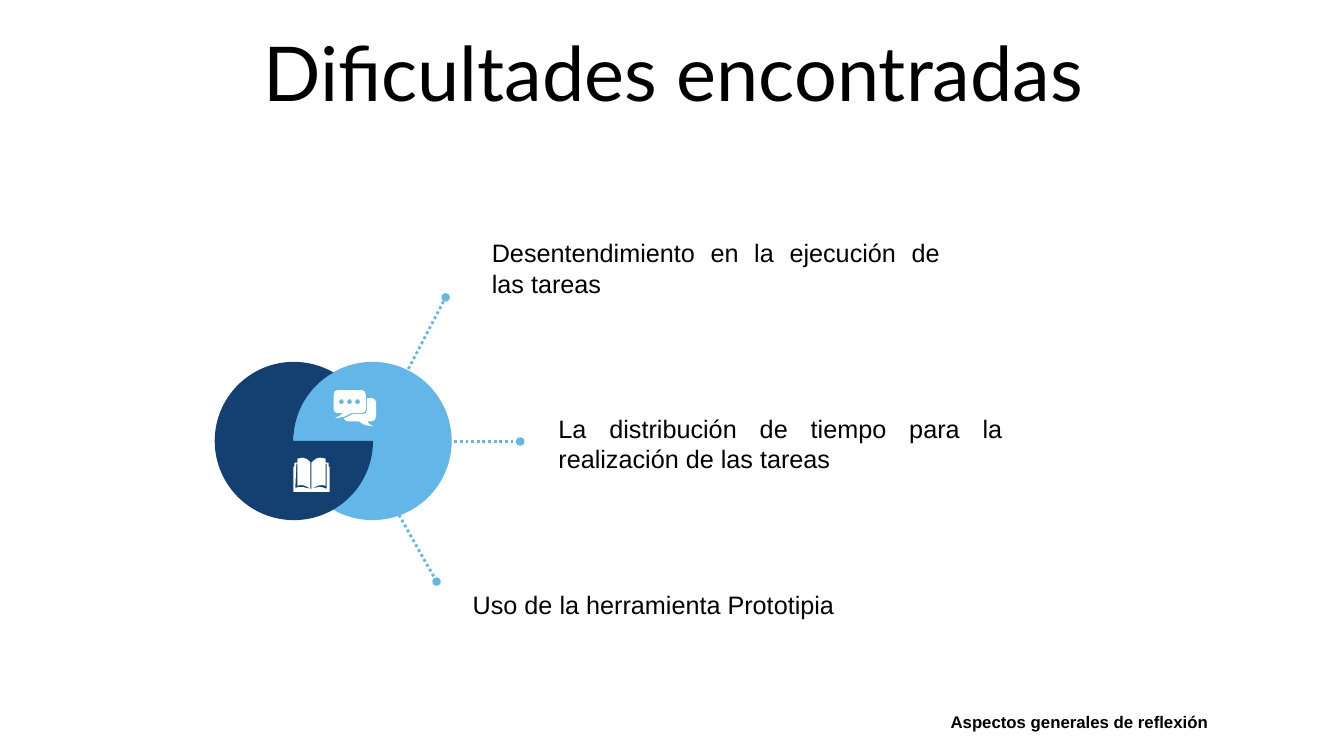
"""Build the slide on the difficulties encountered."""
import math

import lxml.etree
import pptx
import pptx.dml.color
import pptx.enum.dml
import pptx.enum.shapes
import pptx.enum.text
import pptx.oxml.ns
import pptx.util

Inches = pptx.util.Inches
qn = pptx.oxml.ns.qn
ALIGN = pptx.enum.text.PP_ALIGN
COLORS = {"navy": "134070", "sky": "62B7E8", "white": "FFFFFF", "black": "000000"}

presentation = pptx.Presentation()
presentation.slide_width = Inches(13.33)
presentation.slide_height = Inches(7.5)
slide = presentation.slides.add_slide(presentation.slide_layouts[6])


def add_text(text, left, top, width, height, size, font="Arial", align=ALIGN.JUSTIFY):
    """Add a one-paragraph text box and return its shape."""
    shape = slide.shapes.add_textbox(Inches(left), Inches(top), Inches(width), Inches(height))
    shape.text_frame.word_wrap = True
    paragraph = shape.text_frame.paragraphs[0]
    paragraph.text = text
    paragraph.alignment = align
    paragraph.font.size = pptx.util.Pt(size)
    paragraph.font.name = font
    paragraph.font.color.rgb = pptx.dml.color.RGBColor.from_string(COLORS["black"])
    return shape


def add_outline(contours, color):
    """Fill contours made of points (x, y) and cubic curves (x1, y1, x2, y2, x, y)."""
    builder = slide.shapes.build_freeform(*map(Inches, contours[0][0]))
    for contour in contours:
        if contour is not contours[0]:
            builder.move_to(*map(Inches, contour[0]))
        builder.add_line_segments([tuple(map(Inches, segment[-2:])) for segment in contour[1:]], close=True)
    shape = builder.convert_to_shape()
    segments = [segment for contour in contours for segment in contour[1:]]
    for line, segment in zip(list(shape._element.iter(qn("a:lnTo"))), segments):
        if len(segment) == 6:
            line.tag = qn("a:cubicBezTo")
            for index, (x, y) in enumerate([segment[:2], segment[2:4]]):
                control = lxml.etree.Element(qn("a:pt"))
                control.set("x", str(Inches(x) - shape.left))
                control.set("y", str(Inches(y) - shape.top))
                line.insert(index, control)
    shape.shadow.inherit = False
    shape.fill.solid()
    shape.fill.fore_color.rgb = pptx.dml.color.RGBColor.from_string(COLORS[color])
    shape.line.fill.background()


title = add_text("Dificultades encontradas", 0.35, 0.37, 12.66, 0.79, 54, "Lato", ALIGN.CENTER)
title.text_frame.vertical_anchor = pptx.enum.text.MSO_ANCHOR.MIDDLE
title.text_frame.paragraphs[0].line_spacing = 0.9

diameter, navy_left, sky_left, circles_top = 1.57, 2.13, 2.91, 3.59
sky_pie = slide.shapes.add_shape(
    pptx.enum.shapes.MSO_SHAPE.PIE,
    Inches(sky_left), Inches(circles_top), Inches(diameter), Inches(diameter))
sky_pie.adjustments[0] = 0
sky_pie.adjustments[1] = 180.48
sky_pie.rotation = 180
sky_pie.shadow.inherit = False
sky_pie.fill.solid()
sky_pie.fill.fore_color.rgb = pptx.dml.color.RGBColor.from_string(COLORS["sky"])
sky_pie.line.fill.background()

radius = diameter / 2
center_y = circles_top + radius
navy_outline = [(navy_left + diameter, center_y)]
for left, start, end in [
    (navy_left, 0, 90), (navy_left, 90, 180), (navy_left, 180, 270), (navy_left, 270, 300),
    (sky_left, 240, 180),
]:
    first, last = math.radians(start), math.radians(end)
    reach = 4 / 3 * math.tan((last - first) / 4)
    arc = [
        (math.cos(first) - reach * math.sin(first), math.sin(first) + reach * math.cos(first)),
        (math.cos(last) + reach * math.sin(last), math.sin(last) - reach * math.cos(last)),
        (math.cos(last), math.sin(last)),
    ]
    navy_outline.append(tuple(
        value for x, y in arc for value in (left + radius + radius * x, center_y + radius * y)))
add_outline([navy_outline], "navy")

for start_x, start_y, end_x, end_y in [
    (4.05, 3.66, 4.42, 2.95),
    (4.45, 4.38, 5.16, 4.38),
    (3.93, 5.06, 4.33, 5.77),
]:
    connector = slide.shapes.add_connector(
        pptx.enum.shapes.MSO_CONNECTOR.STRAIGHT,
        Inches(start_x), Inches(start_y), Inches(end_x), Inches(end_y))
    connector.line.color.rgb = pptx.dml.color.RGBColor.from_string(COLORS["sky"])
    connector.line.width = pptx.util.Pt(2)
    connector.line.dash_style = pptx.enum.dml.MSO_LINE.ROUND_DOT
    properties = connector._element.spPr
    line_end = lxml.etree.SubElement(properties.get_or_add_ln(), qn("a:tailEnd"))
    line_end.set("type", "oval")
    lxml.etree.SubElement(properties, qn("a:effectLst"))

for text, left, top, width, height in [
    ("Desentendimiento en la ejecución de las tareas", 4.78, 2.31, 4.64, 0.71),
    ("La distribución de tiempo para la realización de las tareas", 5.44, 4.05, 4.6, 0.71),
    ("Uso de la herramienta Prototipia", 4.59, 5.8, 5.93, 0.4),
]:
    difficulty = add_text(text, left, top, width, height, 18)
    difficulty.text_frame.paragraphs[0].space_before = pptx.util.Pt(10)

book = [
    (3.08, 4.85), (3.09, 4.85), (3.15, 4.83, 3.18, 4.82, 3.24, 4.85), (3.24, 4.6), (3.23, 4.6),
    (3.23, 4.82), (3.19, 4.8, 3.14, 4.82, 3.09, 4.85), (3.09, 4.59),
    (3.12, 4.56, 3.14, 4.54, 3.18, 4.54), (3.19, 4.54, 3.21, 4.55, 3.23, 4.55), (3.23, 4.59),
    (3.26, 4.59), (3.26, 4.63), (3.27, 4.63), (3.27, 4.88), (2.91, 4.88), (2.91, 4.63),
    (2.92, 4.63), (2.92, 4.59), (2.95, 4.59), (2.95, 4.55), (2.97, 4.55, 2.99, 4.54, 3, 4.54),
    (3.03, 4.54, 3.06, 4.56, 3.08, 4.59), (3.08, 4.85), (3.04, 4.82, 2.99, 4.8, 2.95, 4.82),
    (2.95, 4.6), (2.94, 4.6), (2.93, 4.84), (3, 4.82, 3.03, 4.84, 3.08, 4.85),
]
add_outline([book], "white")

back_bubble = [
    (3.64, 3.95), (3.69, 3.95), (3.71, 3.95, 3.73, 3.97, 3.73, 3.99), (3.73, 4.13),
    (3.73, 4.16, 3.71, 4.18, 3.69, 4.18), (3.64, 4.18), (3.65, 4.19, 3.65, 4.2, 3.7, 4.23),
    (3.61, 4.22, 3.6, 4.21, 3.56, 4.18), (3.45, 4.18), (3.43, 4.18, 3.42, 4.17, 3.41, 4.15),
    (3.44, 4.14, 3.46, 4.13, 3.49, 4.11), (3.6, 4.11), (3.62, 4.11, 3.64, 4.09, 3.64, 4.07),
]
front_bubble = [
    (3.35, 3.87), (3.59, 3.87), (3.61, 3.87, 3.63, 3.89, 3.63, 3.92), (3.63, 4.06),
    (3.63, 4.08, 3.61, 4.1, 3.59, 4.1), (3.48, 4.1), (3.43, 4.13, 3.41, 4.14, 3.32, 4.15),
    (3.37, 4.12, 3.38, 4.13, 3.4, 4.1), (3.35, 4.1), (3.32, 4.1, 3.31, 4.08, 3.31, 4.06),
    (3.31, 3.92), (3.31, 3.89, 3.32, 3.87, 3.35, 3.87),
]
dots = [
    [(x, 3.96), (x - 0.01, 3.96, x - 0.03, 3.97, x - 0.03, 3.99),
     (x - 0.03, 4, x - 0.01, 4.01, x, 4.01), (x + 0.01, 4.01, x + 0.02, 4, x + 0.02, 3.99),
     (x + 0.02, 3.97, x + 0.01, 3.96, x, 3.96)]
    for x in (3.55, 3.47, 3.39)
]
add_outline([*dots, back_bubble, front_bubble], "white")

footer = add_text("Aspectos generales de reflexión", 9.33, 7.01, 4, 0.3, 12)
footer.text_frame.paragraphs[0].font.bold = True

presentation.save("out.pptx")
